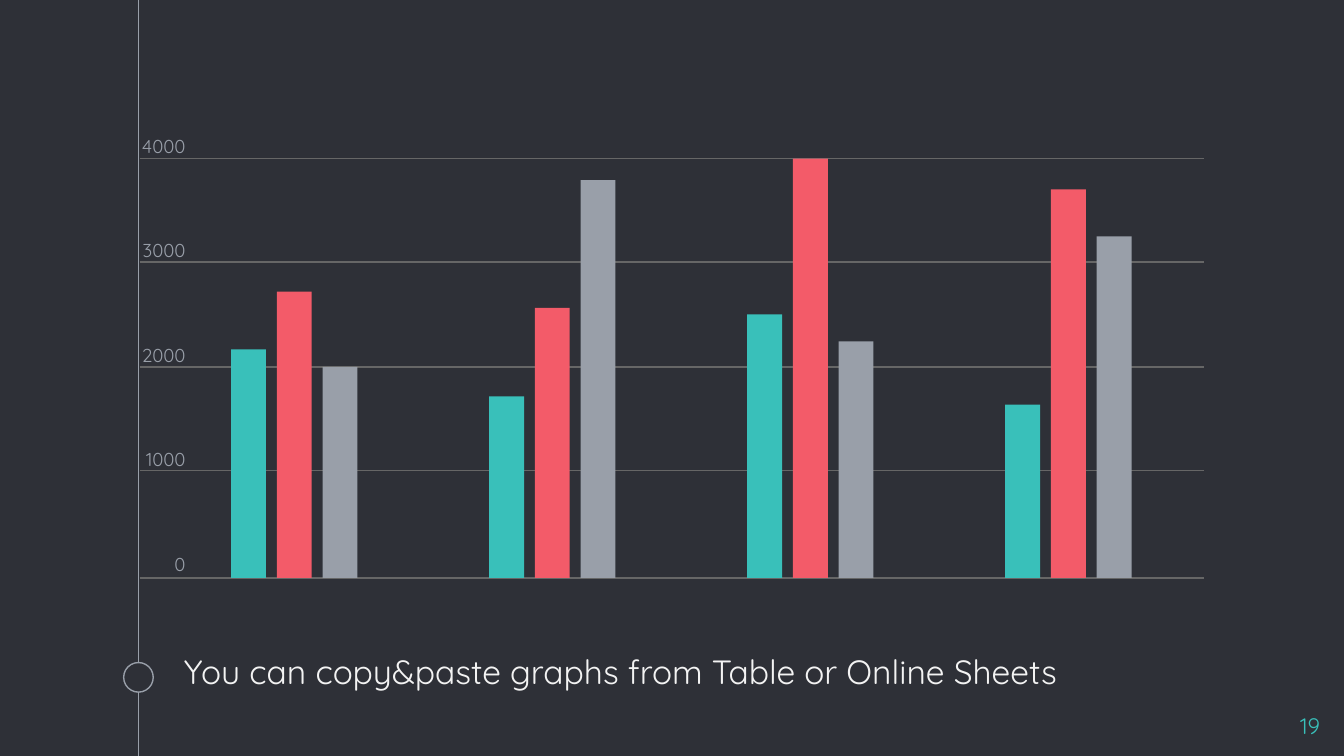
from dataclasses import dataclass

from lxml import etree
from pptx import Presentation
from pptx.dml.color import RGBColor
from pptx.enum import shapes, text
from pptx.oxml import ns
from pptx.util import Inches, Pt


@dataclass(frozen=True)
class Theme:
    font: str = "Quicksand"
    background: str = "2E3037"
    body: str = "F3F3F3"
    teal: str = "39C0BA"
    coral: str = "F35B69"
    gray: str = "999FA9"
    grid: str = "666666"
    caption_size: int = 18
    number_size: int = 12
    axis_size: int = 10
    line_width: float = 0.75


THEME = Theme()
PAGE_WIDTH = 10
PAGE_HEIGHT = PAGE_WIDTH * 9 / 16
GRID_TOPS = (1.18, 1.95, 2.73, 3.5, 4.3)
AXIS_LABELS = ("4000", "3000", "2000", "1000", "0")
AXIS_GAP = 44
BASELINE = 4.3
FIRST_BAR = 1.72
GROUP_STEP = 1.92
BAR_STEP = 0.34
BAR_WIDTH = 0.26
SERIES_COLORS = (THEME.teal, THEME.coral, THEME.gray)
BAR_HEIGHTS = (
    (1.7, 2.13, 1.57),
    (1.35, 2.01, 2.96),
    (1.96, 3.12, 1.76),
    (1.29, 2.89, 2.54),
)


def rgb(color):
    return RGBColor.from_string(color)


def add_line(page, start, end, color):
    line = page.shapes.add_connector(
        shapes.MSO_CONNECTOR.STRAIGHT, *map(Inches, start + end)
    )
    line.line.color.rgb = rgb(color)
    line.line.width = Pt(THEME.line_width)
    etree.SubElement(line._element.spPr, ns.qn("a:effectLst"))


def add_filled_shape(page, kind, bounds, fill, outline=None):
    shape = page.shapes.add_shape(kind, *map(Inches, bounds))
    shape.shadow.inherit = False
    shape.fill.solid()
    shape.fill.fore_color.rgb = rgb(fill)
    if outline:
        shape.line.color.rgb = rgb(outline)
        shape.line.width = Pt(THEME.line_width)
    else:
        shape.line.fill.background()


def add_text(page, bounds, lines, size, color, inset=0.1,
             align=text.PP_ALIGN.LEFT, before=0):
    box = page.shapes.add_textbox(*map(Inches, bounds))
    frame = box.text_frame
    frame.word_wrap = True
    frame.margin_left = frame.margin_right = Inches(inset)
    frame.margin_top = frame.margin_bottom = Inches(inset)
    frame.text = "\n".join(lines)
    for para in frame.paragraphs:
        para.alignment = align
        para.space_before = Pt(before)
        para.font.name = THEME.font
        para.font.size = Pt(size)
        para.font.color.rgb = rgb(color)
    return frame


def add_timeline(page):
    add_line(page, (1.03, 0), (1.03, PAGE_HEIGHT), THEME.gray)
    add_filled_shape(page, shapes.MSO_SHAPE.OVAL, (0.92, 4.93, 0.22, 0.22),
                     THEME.background, THEME.gray)


def add_axis(page):
    for top in GRID_TOPS:
        add_line(page, (1.04, top), (8.96, top), THEME.grid)
    labels = add_text(page, (1.04, 1, 0.34, 3.31), AXIS_LABELS,
                      THEME.axis_size, THEME.gray, inset=0,
                      align=text.PP_ALIGN.RIGHT, before=AXIS_GAP)
    labels.paragraphs[0].space_before = Pt(0)
    labels.paragraphs[-1].space_after = Pt(AXIS_GAP)


def add_bars(page):
    for group, heights in enumerate(BAR_HEIGHTS):
        for series, (height, color) in enumerate(zip(heights, SERIES_COLORS)):
            left = FIRST_BAR + group * GROUP_STEP + series * BAR_STEP
            add_filled_shape(page, shapes.MSO_SHAPE.RECTANGLE,
                             (left, BASELINE - height, BAR_WIDTH, height), color)


def main():
    deck = Presentation()
    deck.slide_width = Inches(PAGE_WIDTH)
    deck.slide_height = Inches(PAGE_HEIGHT)
    page = deck.slides.add_slide(deck.slide_layouts[6])
    page.background.fill.solid()
    page.background.fill.fore_color.rgb = rgb(THEME.background)

    add_timeline(page)
    add_text(page, (1.27, 4.74, 8.23, 0.47),
             ["You can copy&paste graphs from Table or Online Sheets"],
             THEME.caption_size, THEME.body, before=3.6)
    add_text(page, (9.32, 5.2, 0.6, 0.34), ["19"], THEME.number_size,
             THEME.teal, align=text.PP_ALIGN.RIGHT)
    add_axis(page)
    add_bars(page)
    deck.save("out.pptx")


if __name__ == "__main__":
    main()
